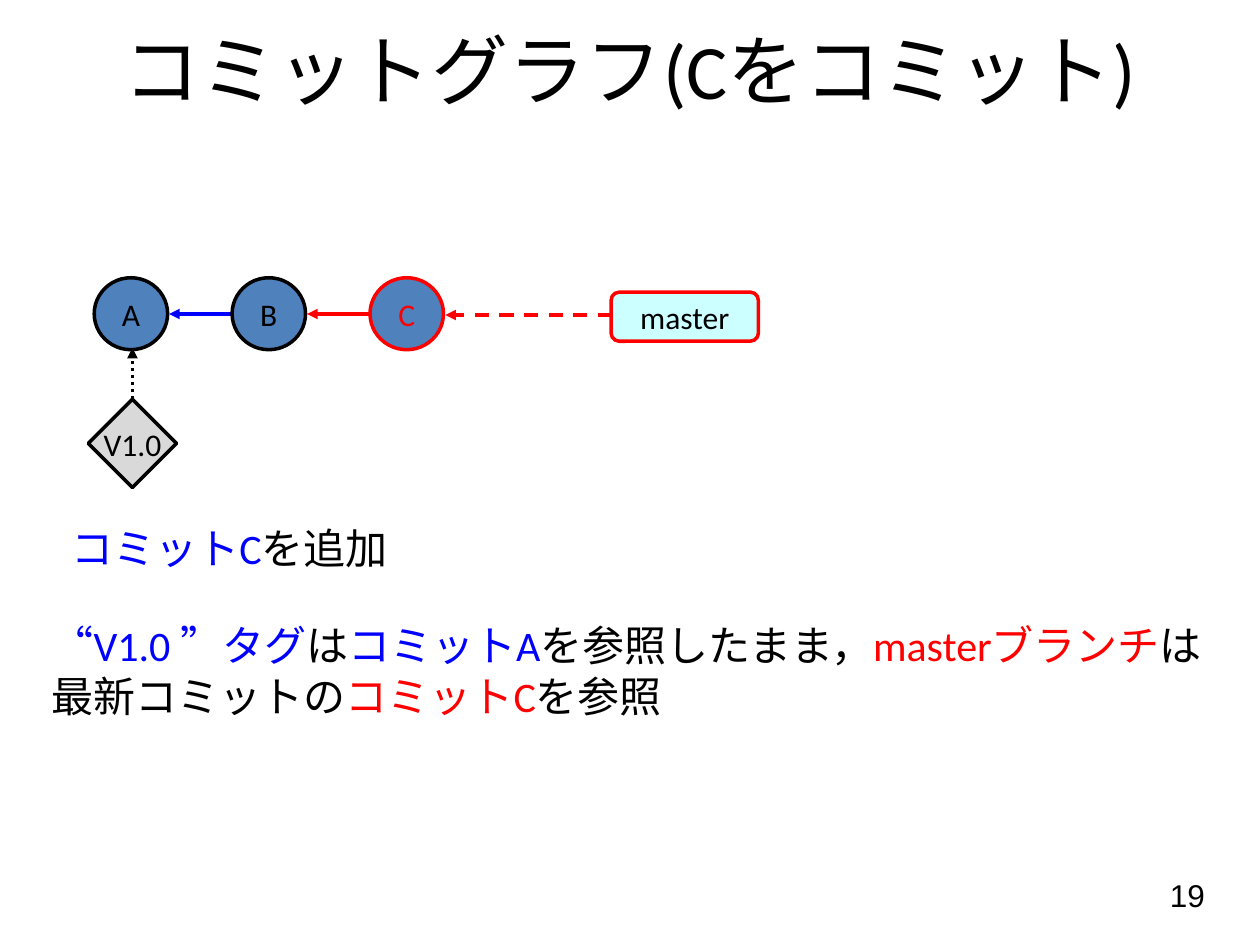
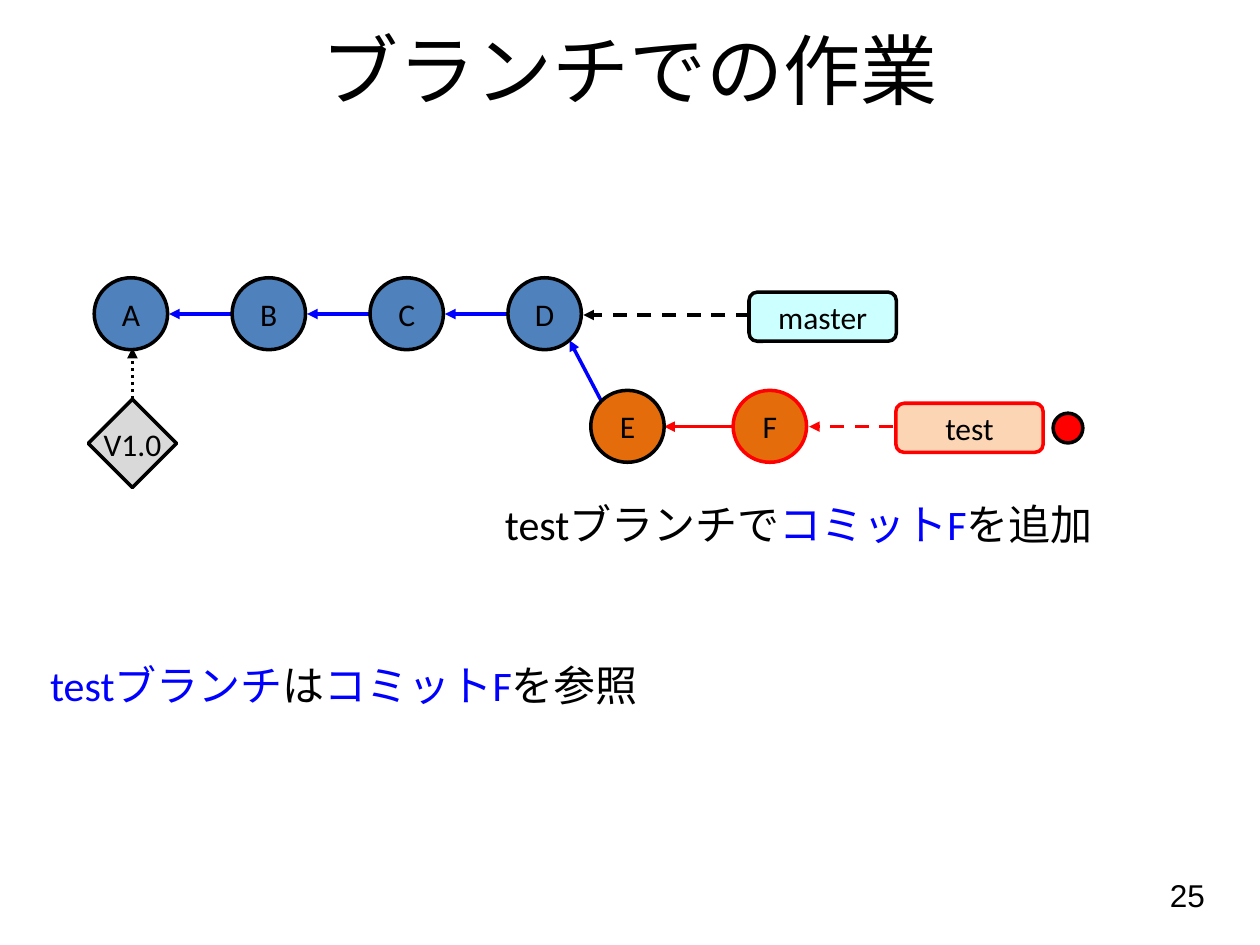
from lxml.etree import SubElement
from pptx import Presentation
from pptx.dml.color import RGBColor
from pptx.enum.dml import MSO_LINE
from pptx.enum.shapes import MSO_CONNECTOR, MSO_SHAPE
from pptx.enum.text import MSO_ANCHOR, MSO_AUTO_SIZE, PP_ALIGN
from pptx.oxml.ns import qn
from pptx.util import Cm, Pt

BLACK = RGBColor(0x00, 0x00, 0x00)
BLUE = RGBColor(0x00, 0x00, 0xFF)
RED = RGBColor(0xFF, 0x00, 0x00)
MAIN_FILL = RGBColor(0x4F, 0x81, 0xBD)
TEST_FILL = RGBColor(0xE4, 0x6C, 0x0A)
TAG_FILL = RGBColor(0xD9, 0xD9, 0xD9)
MASTER_FILL = RGBColor(0xCC, 0xFF, 0xFF)
TEST_LABEL_FILL = RGBColor(0xFC, 0xD5, 0xB5)

# Diagram measures in centimetres
FIRST_LEFT, COMMIT_TOP, COMMIT_STEP = 1.9, 5.6, 2.78
COMMIT_SIZE = (1.48, 1.45)
LABEL_SIZE = (2.97, 0.99)
MAIN_LINE_Y, TEST_LINE_Y = 6.33, 8.6
COMMIT, LABEL = MSO_SHAPE.OVAL, MSO_SHAPE.ROUNDED_RECTANGLE

SLIDES = [
    {
        "title": "コミットグラフ(Cをコミット)",
        "number": "19",
        "commits": "ABC",
        "newest_color": RED,
        "has_test_branch": False,
        "captions": [
            (1.19, 10.41, 12.5, [[("コミットC", BLUE), ("を追加", BLACK)]]),
            (0.79, 12.37, 24, [
                [("“V1.0 ”タグ", BLUE), ("は", BLACK), ("コミットA", BLUE),
                 ("を参照したまま，", BLACK), ("masterブランチ", RED), ("は", BLACK)],
                [("最新コミットの", BLACK), ("コミットC", RED), ("を参照", BLACK)],
            ]),
        ],
    },
    {
        "title": "ブランチでの作業",
        "number": "25",
        "commits": "ABCD",
        "newest_color": BLACK,
        "has_test_branch": True,
        "captions": [
            (9.93, 9.93, 12.7, [[("testブランチで", BLACK), ("コミットF", BLUE),
                                 ("を追加", BLACK)]]),
            (0.76, 13.18, 14, [[("testブランチ", BLUE), ("は", BLACK),
                                ("コミットF", BLUE), ("を参照", BLACK)]]),
        ],
    },
]


def write_text(shape, paragraphs, size=18, font="Calibri", align=PP_ALIGN.LEFT,
               anchor=MSO_ANCHOR.TOP, wrap=True):
    """Fill a shape with paragraphs, each a list of (text, color) runs."""
    frame = shape.text_frame
    frame.word_wrap = wrap
    frame.auto_size = MSO_AUTO_SIZE.NONE
    frame.vertical_anchor = anchor
    for index, runs in enumerate(paragraphs):
        paragraph = frame.add_paragraph() if index else frame.paragraphs[0]
        paragraph.alignment = align
        for text, color in runs:
            run = paragraph.add_run()
            run.text = text
            run.font.size = Pt(size)
            run.font.name = font
            run.font.color.rgb = color


def add_arrow(slide, start, tip, color, dash=None):
    arrow = slide.shapes.add_connector(
        MSO_CONNECTOR.STRAIGHT, *(Cm(value) for value in (*start, *tip)))
    arrow.line.color.rgb = color
    arrow.line.width = Pt(2)
    if dash:
        arrow.line.dash_style = dash
    properties = arrow._element.spPr
    SubElement(properties.find(qn("a:ln")), qn("a:tailEnd"), type="triangle")
    SubElement(properties, qn("a:effectLst"))


presentation = Presentation()
presentation.slide_width, presentation.slide_height = Cm(25.4), Cm(19.05)
title_only = presentation.slide_layouts[5]

for content in SLIDES:
    slide = presentation.slides.add_slide(title_only)

    title = slide.shapes.title
    title.left, title.top, title.width, title.height = Cm(0), Cm(-0.2), Cm(25.4), Cm(3.18)
    write_text(title, [[(content["title"], BLACK)]], size=44,
               align=PP_ALIGN.CENTER, anchor=MSO_ANCHOR.MIDDLE)

    page_number = slide.shapes.add_textbox(Cm(18.62), Cm(17.53), Cm(5.92), Cm(1.32))
    write_text(page_number, [[(content["number"], BLACK)]], font="Arial",
               align=PP_ALIGN.RIGHT)

    # Each part: preset, position, size, text, fill, outline, text color
    newest_color = content["newest_color"]
    parts = [(MSO_SHAPE.DIAMOND, (1.78, 8.05), (1.78, 1.78), "V1.0",
              TAG_FILL, BLACK, BLACK)]
    add_arrow(slide, (2.67, 8.05), (2.67, 7.01), BLACK, MSO_LINE.ROUND_DOT)

    last = len(content["commits"]) - 1
    for index, name in enumerate(content["commits"]):
        left = FIRST_LEFT + index * COMMIT_STEP
        color = newest_color if index == last else BLACK
        parts.append((COMMIT, (left, COMMIT_TOP), COMMIT_SIZE, name, MAIN_FILL, color, color))
        if index:
            arrow_color = RED if color == RED else BLUE
            add_arrow(slide, (left, MAIN_LINE_Y), (left - 1.27, MAIN_LINE_Y), arrow_color)

    # The master label follows the last commit of the main line
    parts.append((LABEL, (left + 4.86, 5.89), LABEL_SIZE, "master",
                  MASTER_FILL, newest_color, BLACK))
    add_arrow(slide, (left + 4.88, 6.35), (left + 1.52, 6.35), newest_color, MSO_LINE.DASH)

    if content["has_test_branch"]:
        parts += [
            (COMMIT, (11.91, 7.87), COMMIT_SIZE, "E", TEST_FILL, BLACK, BLACK),
            (COMMIT, (14.78, 7.87), COMMIT_SIZE, "F", TEST_FILL, RED, BLACK),
            (LABEL, (18.06, 8.13), LABEL_SIZE, "test", TEST_LABEL_FILL, RED, BLACK),
            (MSO_SHAPE.OVAL, (21.23, 8.33), (0.6, 0.6), "", RED, BLACK, BLACK),
        ]
        add_arrow(slide, (12.12, 8.08), (11.48, 6.86), BLUE)
        add_arrow(slide, (14.78, TEST_LINE_Y), (13.39, TEST_LINE_Y), RED)
        add_arrow(slide, (18.01, TEST_LINE_Y), (16.31, TEST_LINE_Y), RED, MSO_LINE.DASH)

    for preset, position, size, text, fill, outline, text_color in parts:
        shape = slide.shapes.add_shape(preset, *(Cm(value) for value in position + size))
        shape.shadow.inherit = False
        shape.fill.solid()
        shape.fill.fore_color.rgb = fill
        shape.line.color.rgb = outline
        shape.line.width = Pt(2)
        if text:
            frame = shape.text_frame
            frame.margin_left = frame.margin_right = frame.margin_top = frame.margin_bottom = 0
            write_text(shape, [[(text, text_color)]], align=PP_ALIGN.CENTER,
                       anchor=MSO_ANCHOR.MIDDLE, wrap=False)

    for left, top, width, paragraphs in content["captions"]:
        caption = slide.shapes.add_textbox(Cm(left), Cm(top), Cm(width),
                                           Cm(1.27 * len(paragraphs)))
        write_text(caption, paragraphs, size=24)

presentation.save("out.pptx")
